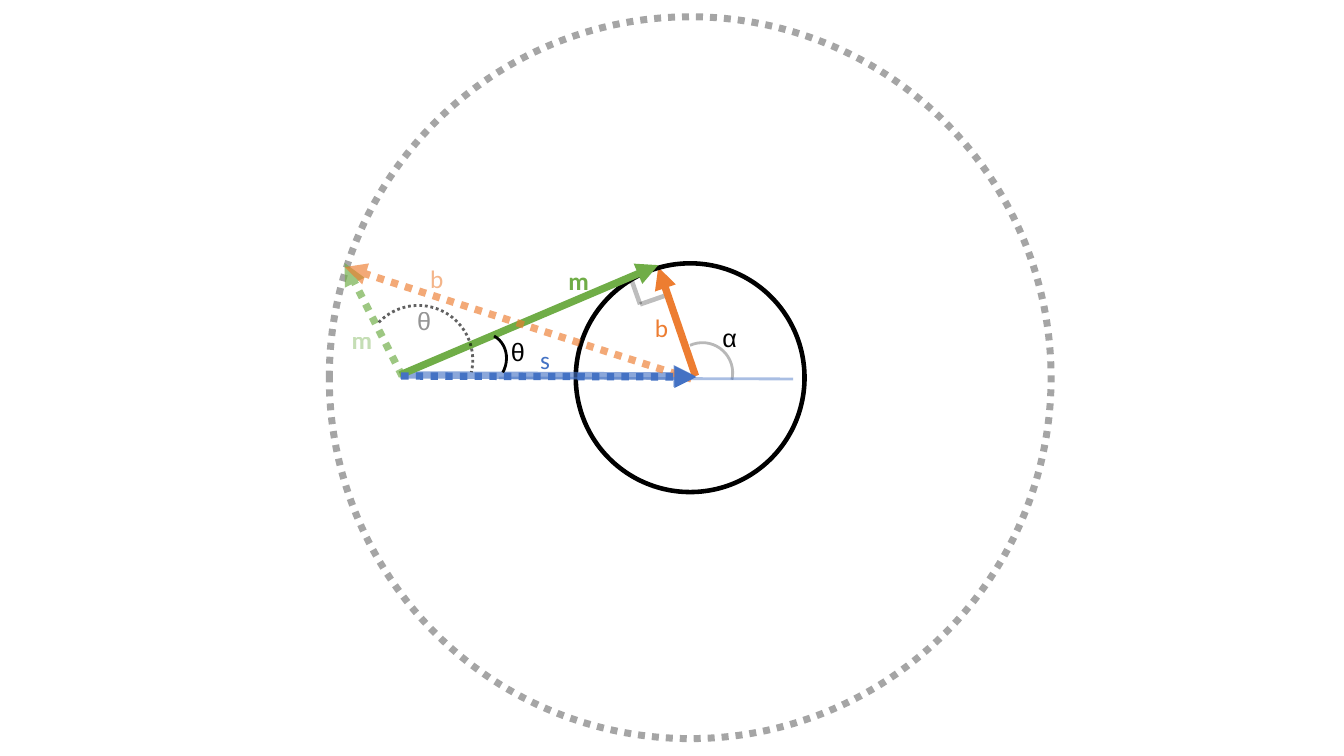
"""Build a vector diagram of two circles with solid and dotted triangles."""
from lxml import etree
from pptx import Presentation
from pptx.dml.color import RGBColor
from pptx.enum.dml import MSO_LINE
from pptx.enum.shapes import MSO_CONNECTOR, MSO_SHAPE
from pptx.enum.text import MSO_AUTO_SIZE
from pptx.oxml.ns import qn
from pptx.util import Pt

BLACK = RGBColor(0x00, 0x00, 0x00)
GRAY = RGBColor(0xA5, 0xA5, 0xA5)
BLUE = RGBColor(0x44, 0x72, 0xC4)
ORANGE = RGBColor(0xED, 0x7D, 0x31)
GREEN = RGBColor(0x70, 0xAD, 0x47)

CENTER = (493, 269.8)
VECTOR_WIDTH = 5.25
LABEL_HEIGHT = 28.8


def set_opacity(element, percent):
    if percent < 100:
        color = next(element.iter(qn("a:srgbClr")))
        etree.SubElement(color, qn("a:alpha"), val=str(percent * 1000))


def style_line(shape, color, width, dotted, opacity):
    shape.line.color.rgb = color
    shape.line.width = Pt(width)
    if dotted:
        shape.line.dash_style = MSO_LINE.ROUND_DOT
    set_opacity(shape.element.spPr.find(qn("a:ln")), opacity)


def add_line(slide, start, end, color, width, dotted=False, opacity=100):
    points = [Pt(value) for value in (*start, *end)]
    line = slide.shapes.add_connector(MSO_CONNECTOR.STRAIGHT, *points)
    style_line(line, color, width, dotted, opacity)
    etree.SubElement(line.element.spPr, qn("a:effectLst"))
    return line


def add_vector(slide, start, end, color, dotted=False, opacity=100):
    line = add_line(slide, start, end, color, VECTOR_WIDTH, dotted, opacity)
    outline = line.element.spPr.find(qn("a:ln"))
    etree.SubElement(outline, qn("a:tailEnd"), type="triangle")


def add_outline(slide, kind, box, color, width, dotted=False, opacity=100):
    shape = slide.shapes.add_shape(kind, *[Pt(value) for value in box])
    shape.shadow.inherit = False
    shape.fill.background()
    style_line(shape, color, width, dotted, opacity)
    return shape


def add_circle(slide, radius, color, width, dotted=False):
    x, y = CENTER
    box = (x - radius, y - radius, 2 * radius, 2 * radius)
    add_outline(slide, MSO_SHAPE.OVAL, box, color, width, dotted)


def add_angle(slide, box, rotation, start=None, dotted=False, opacity=100):
    arc = add_outline(slide, MSO_SHAPE.ARC, box, BLACK, 2, dotted, opacity)
    arc.rotation = rotation
    if start is not None:
        arc.adjustments[0] = start


def add_label(slide, text, left, top, width, color, font="Calibri", bold=False, opacity=100):
    box = slide.shapes.add_textbox(Pt(left), Pt(top), Pt(width), Pt(LABEL_HEIGHT))
    box.text_frame.word_wrap = False
    box.text_frame.auto_size = MSO_AUTO_SIZE.SHAPE_TO_FIT_TEXT
    run = box.text_frame.paragraphs[0].add_run()
    run.text = text
    run.font.size = Pt(18)
    run.font.name = font
    run.font.bold = bold
    run.font.color.rgb = color
    set_opacity(box.element, opacity)


def add_solid_triangle(slide):
    corner = (457.2, 217.4)
    for end in ((478, 210.2), (451.4, 200.9)):
        add_line(slide, corner, end, BLACK, 3.25, opacity=25)
    add_vector(slide, (496.8, 268.6), (470.2, 190.8), ORANGE)
    add_label(slide, "s", 378.7, 242.6, 21.6, BLUE)
    add_label(slide, "b", 460.8, 219.6, 24.5, ORANGE)
    add_label(slide, "m", 398.9, 185.8, 28.8, GREEN, bold=True)
    add_label(slide, "θ", 357.8, 236.9, 23.8, BLACK, "Arial")
    add_circle(slide, 81.7, BLACK, 3.25)
    add_vector(slide, (285.8, 267.8), (496.8, 268.6), BLUE, opacity=61)
    add_vector(slide, (285.8, 267.8), (470.2, 189.4), GREEN)


def add_dotted_triangle(slide):
    add_circle(slide, 257.8, GRAY, 5, dotted=True)
    add_vector(slide, (287.3, 268.6), (246.2, 187.9), GREEN, True, 68)
    add_label(slide, "m", 244.1, 228.2, 28.8, GREEN, bold=True, opacity=40)
    add_vector(slide, (493.9, 270.7), (246.2, 190.8), ORANGE, True, 66)
    add_label(slide, "b", 300.2, 184.3, 24.5, ORANGE, opacity=57)
    add_angle(slide, (325.4, 237.6, 36, 39.6), 28.9)
    add_angle(slide, (259.9, 218.2, 77.8, 77.8), 13, 126.35, True, 61)
    add_label(slide, "θ", 290.9, 214.6, 23.8, BLACK, "Arial", opacity=42)
    add_vector(slide, (286.6, 268.6), (497.5, 269.3), BLUE, True)


def add_alpha_angle(slide):
    add_angle(slide, (480.2, 244.8, 43.2, 43.2), 13, 139.63, opacity=28)
    add_line(slide, (356.4, 270), (566.6, 270.7), BLUE, 2, opacity=45)
    add_label(slide, "α", 509, 226.8, 25.9, BLACK, "Arial")


def main():
    deck = Presentation()
    deck.slide_width, deck.slide_height = Pt(960), Pt(540)
    slide = deck.slides.add_slide(deck.slide_layouts.get_by_name("Blank"))
    add_solid_triangle(slide)
    add_dotted_triangle(slide)
    add_alpha_angle(slide)
    deck.save("out.pptx")


main()
